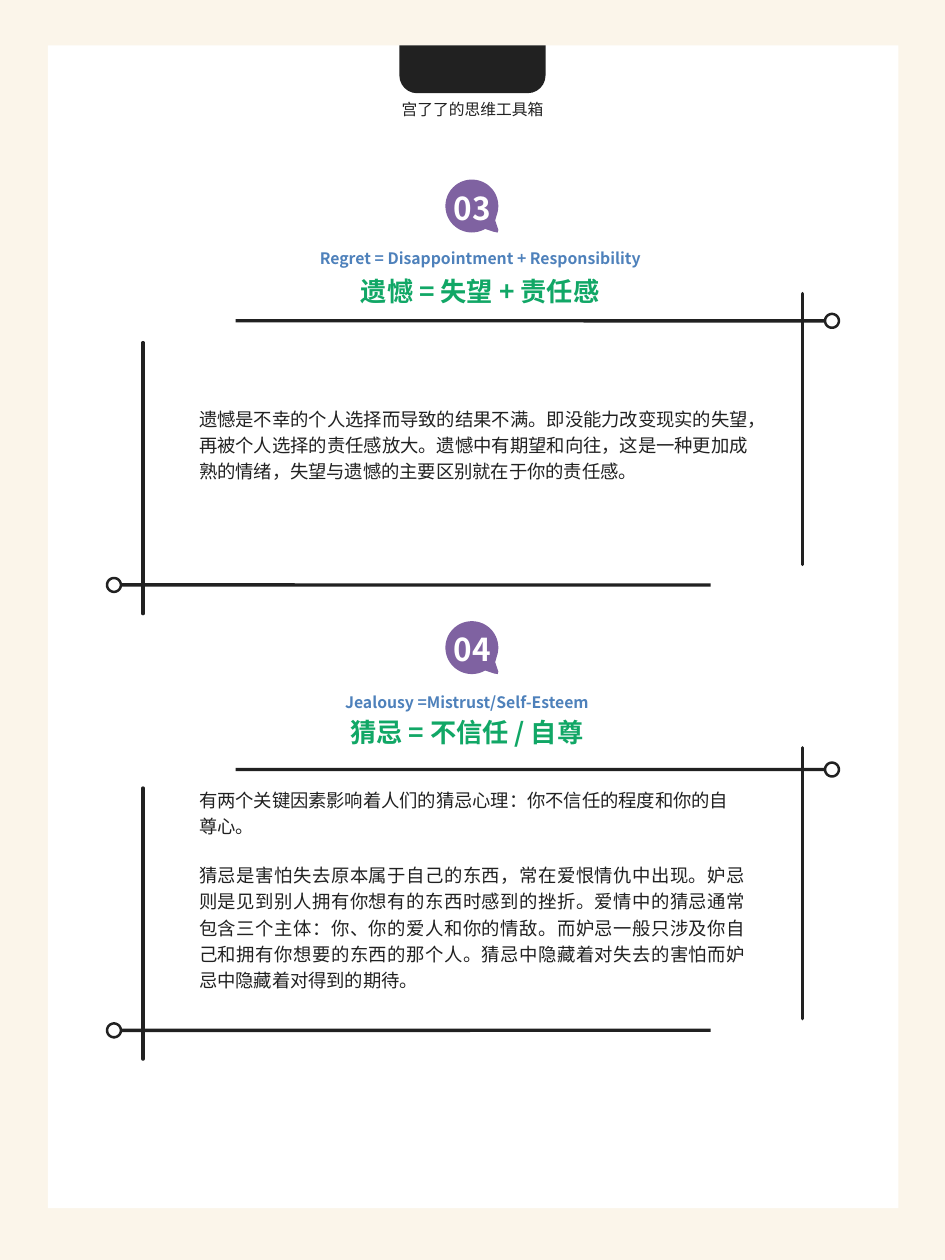
import math

import pptx
import pptx.dml.color
import pptx.enum.shapes
import pptx.enum.text
import pptx.oxml.ns
import pptx.util
from lxml import etree

KIND = pptx.enum.shapes.MSO_SHAPE
ALIGN = pptx.enum.text.PP_ALIGN
qn = pptx.oxml.ns.qn
INK, PAPER, CREAM = "212121", "FFFFFF", "FBF5EA"
PLUM, BLUE, GREEN = "7F62A1", "4E81BB", "11A766"
SANS, BODY = "Noto Sans CJK SC", "Roboto"

deck = pptx.Presentation()
deck.slide_width = pptx.util.Inches(7.5)
deck.slide_height = pptx.util.Inches(10)
cell = deck.slide_width / 75  # the page is a grid of 75 columns and 100 rows
page = deck.slides.add_slide(deck.slide_layouts[3])
shapes = page.shapes


def grid(*cells):
    """Turn columns and rows into lengths."""
    return [pptx.util.Emu(round(n * cell)) for n in cells]


def paint(target, code):
    """Give a fill or a font a solid colour."""
    if hasattr(target, "solid"):
        target.solid()
        target = target.fore_color
    else:
        target = target.color
    target.rgb = pptx.dml.color.RGBColor.from_string(code)


# Page, sheet and top tab
for kind, place, code in [
    (KIND.RECTANGLE, (0, 0, 75, 100), CREAM),
    (KIND.RECTANGLE, (3.8, 3.6, 67.5, 92.3), PAPER),
    (KIND.ROUND_2_SAME_RECTANGLE, (31.7, 3.6, 11.6, 3.8), INK),
]:
    panel = shapes.add_shape(kind, *grid(*place))
    panel.shadow.inherit = False
    panel.line.fill.background()
    paint(panel.fill, code)
panel.adjustments[0], panel.adjustments[1] = 0, 0.37

# Outlines, each a list of contours: speech bubbles, then bars that end in a ring
forms = []
for row in (16.35, 51.4):
    dots = []
    for turn in range(60, 385, 5):
        angle = math.radians(turn)
        dots.append((37.45 + 2.1 * math.cos(angle), row + 2.1 * math.sin(angle)))
    dots += [(39.3, row + 1.15), (39.55, row + 1.9), (39.5, row + 2.1), (39.2, row + 2.05)]
    forms.append((PLUM, [dots]))
for col, tip, row in [(66.03, 18.7, 25.47), (9.05, 56.4, 46.43),
                      (66.03, 18.7, 61.08), (9.05, 56.4, 81.78)]:
    side = math.copysign(1, tip - col)
    rims = []
    for size in (0.65, 0.45):
        rim = []
        for turn in range(12, 349, 12):
            angle = math.radians(turn)
            rim.append((col + side * size * math.cos(angle), row + size * math.sin(angle)))
        rims.append(rim)
    rims[0] += [(tip, row - 0.13), (tip, row + 0.13)]
    rims[1].append((col + side * 0.45, row))
    forms.append((INK, rims))
for code, rims in forms:
    path = shapes.build_freeform(*grid(*rims[0][0]))
    for rim in rims:
        if rim is not rims[0]:
            path.move_to(*grid(*rim[0]))
        path.add_line_segments([grid(*dot) for dot in rim[1:]])
    form = path.convert_to_shape()
    form.shadow.inherit = False
    form.line.fill.background()
    paint(form.fill, code)

# Upright posts
for col, row in [(63.7, 23.3), (11.35, 27.2), (63.7, 59.35), (11.35, 62.55)]:
    post = shapes.add_connector(pptx.enum.shapes.MSO_CONNECTOR.STRAIGHT,
                                *grid(col, row, col, row + 21.5))
    post.line.width = pptx.util.Pt(2)
    paint(post.line.fill, INK)
    post.line._ln.set("cap", "rnd")
    etree.SubElement(post._element.spPr, qn("a:effectLst"))

# Text: placeholder number or None, place, lines of words, style, space before
tag = (9, SANS, INK, False, ALIGN.LEFT, 1)
mark = (18, SANS, PAPER, True, ALIGN.LEFT, 1)
label = (9, SANS, BLUE, True, ALIGN.CENTER, 1)
head = (15, SANS, GREEN, True, ALIGN.CENTER, 1)
lead = (10.5, BODY, INK, False, ALIGN.LEFT, 1.19)
note = (10.5, BODY, INK, False, ALIGN.JUSTIFY, 1.19)
texts = [
    (None, (31.87, 7.9, 11.6, 1.6), [("宫了了的思维工具箱", tag, 0)]),
    (None, (36, 15, 4.4, 3.1), [("03", mark, 0)]),
    (None, (36, 50, 4.4, 3.1), [("04", mark, 0)]),
    (0, (24.95, 19.7, 26.3, 5),
     [("Regret = Disappointment + Responsibility", label, 0),
      ("遗憾 = 失望 + 责任感", head, 4.6)]),
    (1, (15.8, 32.05, 43.6, 6.4),
     [("遗憾是不幸的个人选择而导致的结果不满。即没能力改变现实的失望，"
       "再被个人选择的责任感放大。遗憾中有期望和向往，这是一种更加成熟的情绪，"
       "失望与遗憾的主要区别就在于你的责任感。", note, 0)]),
    (None, (23.9, 55, 26.3, 5),
     [("Jealousy =Mistrust/Self-Esteem", label, 0),
      ("猜忌 = 不信任 / 自尊", head, 2.5)]),
    (2, (15.8, 62.3, 43.4, 17),
     [("有两个关键因素影响着人们的猜忌心理：你不信任的程度和你的自尊心。", lead, 0),
      ("猜忌是害怕失去原本属于自己的东西，常在爱恨情仇中出现。"
       "妒忌则是见到别人拥有你想有的东西时感到的挫折。"
       "爱情中的猜忌通常包含三个主体：你、你的爱人和你的情敌。"
       "而妒忌一般只涉及你自己和拥有你想要的东西的那个人。"
       "猜忌中隐藏着对失去的害怕而妒忌中隐藏着对得到的期待。", note, 13)]),
]
for index, place, lines in texts:
    if index is None:
        box = shapes.add_textbox(*grid(*place))
    else:
        box = page.placeholders[index]
        box.left, box.top, box.width, box.height = grid(*place)
        shapes._spTree.append(box._element)
    frame = box.text_frame
    frame.text = "\n".join(line[0] for line in lines)
    frame.word_wrap = True
    frame.auto_size = pptx.enum.text.MSO_AUTO_SIZE.NONE
    frame.vertical_anchor = pptx.enum.text.MSO_ANCHOR.TOP
    frame.margin_left = frame.margin_right = frame.margin_top = frame.margin_bottom = 0
    for para, (words, style, before) in zip(frame.paragraphs, lines):
        size, face, code, bold, align, pitch = style
        para.alignment = align
        para.line_spacing = pitch
        para.space_before = pptx.util.Pt(before)
        props = para._p.get_or_add_pPr()
        props.set("marL", "0")
        props.set("indent", "0")
        etree.SubElement(props, qn("a:buNone"))
        font = para.runs[0].font
        font.size, font.name, font.bold = pptx.util.Pt(size), face, bold
        paint(font, code)
        etree.SubElement(font._element, qn("a:ea")).set("typeface", face)

deck.save("out.pptx")
